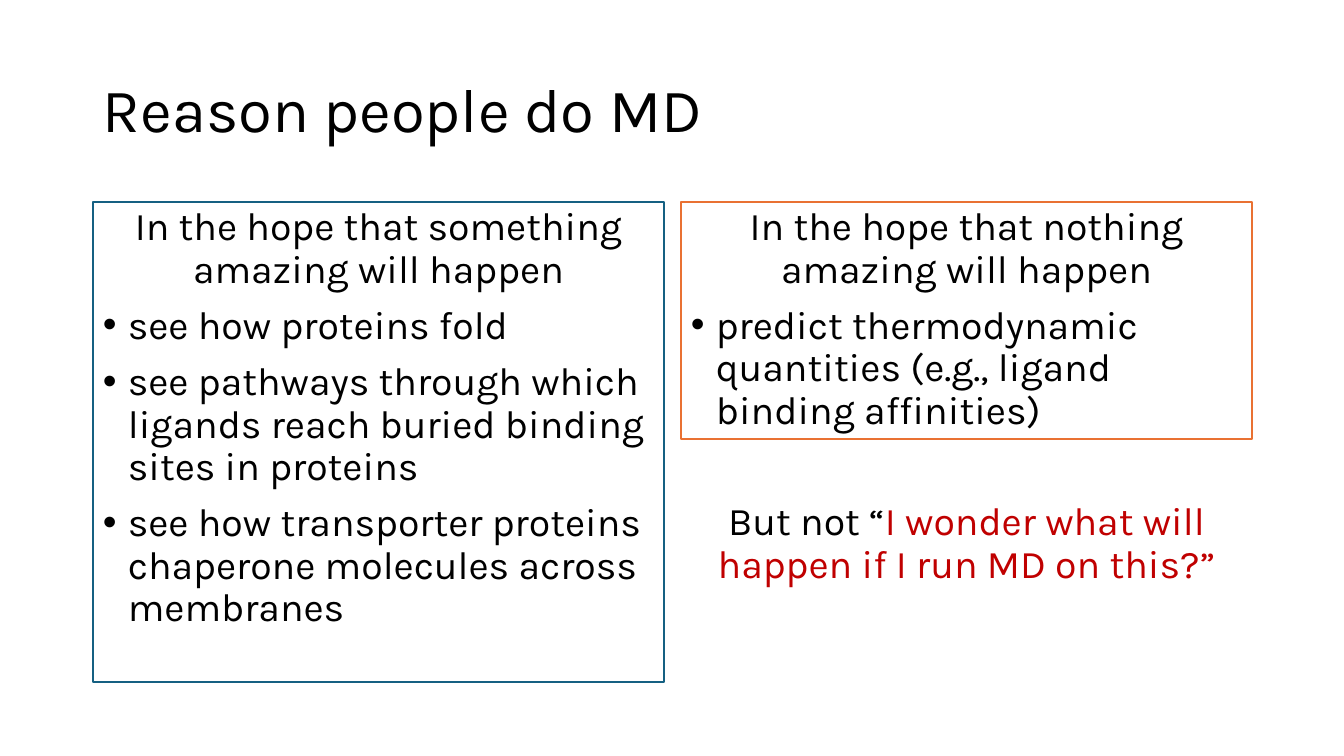
import pptx
import pptx.util
import pptx.dml.color
import pptx.enum.shapes
import pptx.enum.text
import pptx.oxml.ns
from lxml import etree

# Content
COLORS = {"text": "000000", "paper": "FFFFFF", "amazing": "156082",
          "nothing": "E97132", "warning": "C00000"}
FONT = "Karla"
TITLE = "Reason people do MD"
REASONS = [
    {"heading": "In the hope that something amazing will happen",
     "examples": [
         "see how proteins fold",
         "see pathways through which ligands reach buried binding sites in proteins",
         "see how transporter proteins chaperone molecules across membranes"],
     "border": "amazing", "height": 480},
    {"heading": "In the hope that nothing amazing will happen",
     "examples": [
         "predict thermodynamic quantities (e.g., ligand binding affinities)"],
     "border": "nothing", "height": 237},
]
REMARK = [("But not “", "text"),
          ("I wonder what will happen if I run MD on this?”", "warning")]

# Layout in px
PX_PER_INCH = 100.8
SLIDE_W, SLIDE_H = 1344, 756
LEFT, COLUMN_W, GUTTER = 93, 571, 17
TITLE_TOP, TITLE_H = 40, 146
REASONS_TOP = 202
REMARK_TOP, REMARK_H = 497, 101
BULLET_INDENT = 25
ALIGN = pptx.enum.text.PP_ALIGN


def px(length):
    return pptx.util.Emu(round(length * 914400 / PX_PER_INCH))


def rgb(name):
    return pptx.dml.color.RGBColor.from_string(COLORS[name])


def column_left(index):
    return LEFT + index * (COLUMN_W + GUTTER)


def add_panel(slide, left, top, width, height, border=None):
    panel = slide.shapes.add_shape(pptx.enum.shapes.MSO_SHAPE.RECTANGLE,
                                   px(left), px(top), px(width), px(height))
    panel.shadow.inherit = False
    panel.fill.solid()
    panel.fill.fore_color.rgb = rgb("paper")
    if border:
        panel.line.color.rgb = rgb(border)
        panel.line.width = pptx.util.Pt(1.5)
    else:
        panel.line.fill.background()
    panel.text_frame.word_wrap = True
    panel.text_frame.vertical_anchor = pptx.enum.text.MSO_ANCHOR.TOP
    return panel.text_frame


def write(paragraph, runs, size=28, align=ALIGN.LEFT, space_before=0, bullet=False):
    paragraph.alignment = align
    paragraph.line_spacing = 0.9
    paragraph.space_before = pptx.util.Pt(space_before)
    if bullet:
        properties = paragraph._p.get_or_add_pPr()
        properties.set("marL", str(px(BULLET_INDENT)))
        properties.set("indent", str(-px(BULLET_INDENT)))
        for tag, key, value in (("a:buFont", "typeface", "Arial"),
                                ("a:buChar", "char", "•")):
            etree.SubElement(properties, pptx.oxml.ns.qn(tag)).set(key, value)
    for words, color in runs:
        run = paragraph.add_run()
        run.text = words
        run.font.name = FONT
        run.font.size = pptx.util.Pt(size)
        run.font.color.rgb = rgb(color)


def main():
    deck = pptx.Presentation()
    deck.slide_width, deck.slide_height = px(SLIDE_W), px(SLIDE_H)
    slide = deck.slides.add_slide(deck.slide_layouts[6])

    # Title
    title = slide.shapes.add_textbox(px(LEFT), px(TITLE_TOP),
                                     px(2 * COLUMN_W + GUTTER), px(TITLE_H)).text_frame
    title.word_wrap = True
    title.vertical_anchor = pptx.enum.text.MSO_ANCHOR.MIDDLE
    write(title.paragraphs[0], [(TITLE, "text")], size=44)

    # Reasons, one column each
    for index, reason in enumerate(REASONS):
        panel = add_panel(slide, column_left(index), REASONS_TOP, COLUMN_W,
                          reason["height"], reason["border"])
        write(panel.paragraphs[0], [(reason["heading"], "text")], align=ALIGN.CENTER)
        for example in reason["examples"]:
            write(panel.add_paragraph(), [(example, "text")],
                  space_before=10, bullet=True)

    # Remark under the second reason
    remark = add_panel(slide, column_left(1), REMARK_TOP, COLUMN_W, REMARK_H)
    write(remark.paragraphs[0], REMARK, align=ALIGN.CENTER)

    deck.save("out.pptx")


if __name__ == "__main__":
    main()
